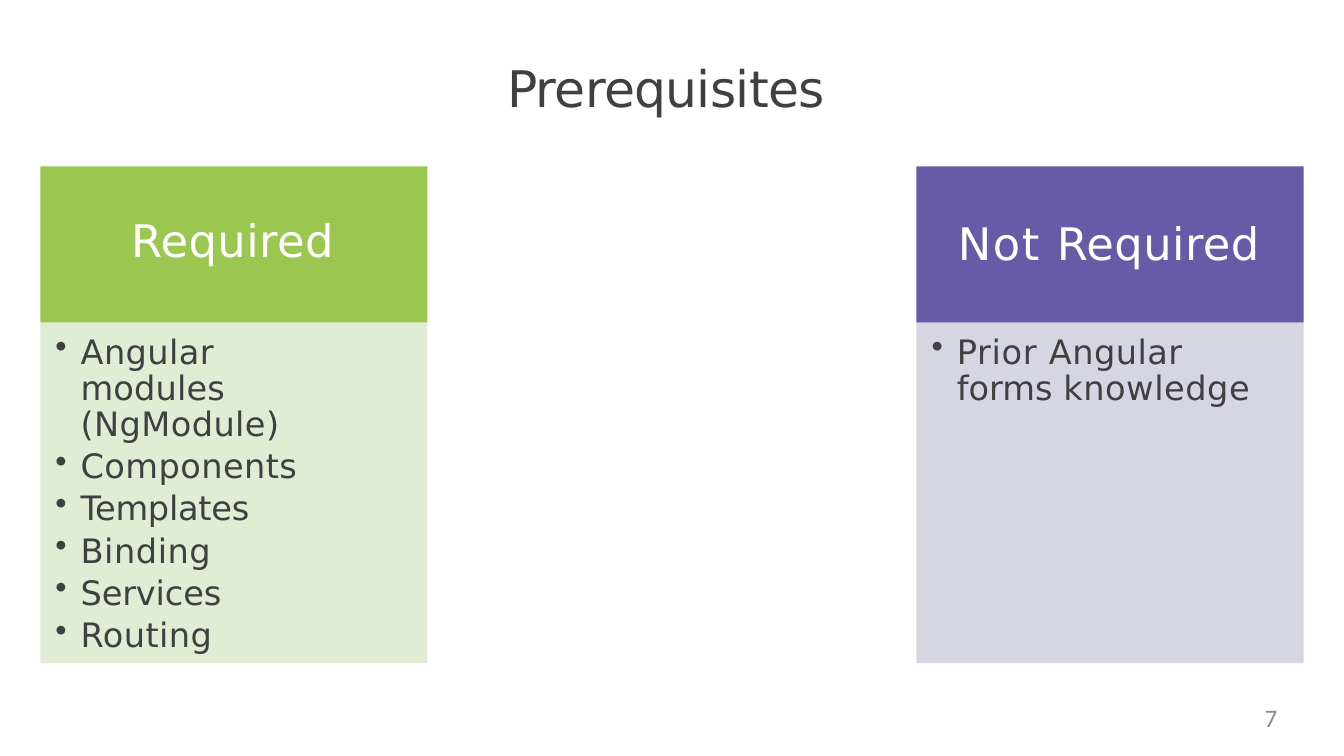
import pptx
import pptx.util
import pptx.dml.color
import pptx.enum.shapes
import pptx.enum.text
import pptx.oxml.ns
import lxml.etree

RGB = pptx.dml.color.RGBColor
GREEN = RGB(0x9B, 0xC7, 0x50)
MINT = RGB(0xDE, 0xEB, 0xD0)
PURPLE = RGB(0x67, 0x5B, 0xA7)
LILAC = RGB(0xD2, 0xD2, 0xE0)
WHITE = RGB(0xFF, 0xFF, 0xFF)
DARK = RGB(0x40, 0x40, 0x40)
GRAY = RGB(0x8C, 0x8C, 0x8C)
ALIGN = pptx.enum.text.PP_ALIGN


def px(n):
    return pptx.util.Emu(n * 9144)


class Deck:
    font = "DejaVu Sans"

    def __init__(self, wide, high):
        self.prs = pptx.Presentation()
        self.prs.slide_width, self.prs.slide_height = px(wide), px(high)
        self.slide = self.prs.slides.add_slide(self.prs.slide_layouts[6])

    def rect(self, box, color, alpha=None):
        kind = pptx.enum.shapes.MSO_SHAPE.RECTANGLE
        shape = self.slide.shapes.add_shape(kind, *map(px, box))
        shape.shadow.inherit = False
        shape.line.fill.background()
        shape.fill.solid()
        shape.fill.fore_color.rgb = color
        if alpha:
            tone = shape.fill._xPr.find(".//" + pptx.oxml.ns.qn("a:srgbClr"))
            lxml.etree.SubElement(tone, pptx.oxml.ns.qn("a:alpha"), val=str(alpha * 1000))
        return shape

    def text(self, box):
        return self.slide.shapes.add_textbox(*map(px, box))

    def frame(self, shape, top=0, right=0):
        frame = shape.text_frame
        frame.word_wrap = True
        frame.vertical_anchor = pptx.enum.text.MSO_ANCHOR.TOP
        frame.margin_left = frame.margin_bottom = 0
        frame.margin_top, frame.margin_right = px(top), px(right)
        return frame

    def para(self, para, runs, size, color, left=0, hang=0, before=0,
             font=None, align=ALIGN.LEFT):
        para.alignment = align
        para.space_before = pptx.util.Pt(before)
        para.font.size = pptx.util.Pt(size)
        para.font.name = font or self.font
        para.font.color.rgb = color
        props = para._p.get_or_add_pPr()
        props.set("marL", str(px(left)))
        props.set("indent", str(px(-hang)))
        for words, gap in runs:
            run = para.add_run()
            run.text = words
            run._r.get_or_add_rPr().set("spc", str(round(gap * 100)))

    def bullet(self, para):
        mark = pptx.oxml.parse_xml(
            f'<a:buChar {pptx.oxml.ns.nsdecls("a")} char="•"/>')
        props = para._p.get_or_add_pPr()
        props.find(pptx.oxml.ns.qn("a:defRPr")).addprevious(mark)

    def head(self, box, color, runs, top, left, before):
        frame = self.frame(self.rect(box, color), top)
        self.para(frame.paragraphs[0], runs, 32, WHITE, left, before=before)

    def list(self, box, color, items, right):
        frame = self.frame(self.rect(box, color, 90), 12, right)
        for i, runs in enumerate(items):
            para = frame.add_paragraph() if i else frame.paragraphs[0]
            before = (8.4, 1.1)[i] if i < 2 else 1.4
            self.para(para, runs, 24, DARK, 40, 25, before)
            if i == 0:
                para.line_spacing = pptx.util.Pt(25.9)
            self.bullet(para)

    def label(self, box, words, size, color, gap=0, **style):
        frame = self.frame(self.text(box))
        self.para(frame.paragraphs[0], [(words, gap)], size, color, **style)


def main():
    deck = Deck(1333, 750)
    needs = [
        [("Angular ", 0.3), ("modules ", 0.1), ("(NgModule)", 0.3)],
        [("Components", 0.3)],
        [("Templates", -0.2)],
        [("Binding", 0.4)],
        [("Services", -0.1)],
        [("Routing", 0.3)],
    ]
    extras = [[("Prior ", 0.5), ("Angular ", 0.3), ("forms ", 0), ("knowledge", 0.4)]]
    cards = [
        (40, GREEN, MINT, [("Required", 0.3)], 46, 90, 33.5, needs, 75),
        (909, PURPLE, LILAC, [("Not ", 1.1), ("Required", 0.3)], 49, 41, 35.5, extras, 40),
    ]
    for x, dark, pale, title, top, left, before, items, right in cards:
        deck.head((x, 165, 384, 155), dark, title, top, left, before)
        deck.list((x, 320, 384, 338), pale, items, right)
    deck.label((502, 57, 319, 63), "Prerequisites", 36, DARK, -0.5, left=1, before=1)
    deck.label((960, 697, 307, 38), "7", 18, GRAY, font="Calibri", align=ALIGN.RIGHT)
    deck.prs.save("out.pptx")


if __name__ == "__main__":
    main()
